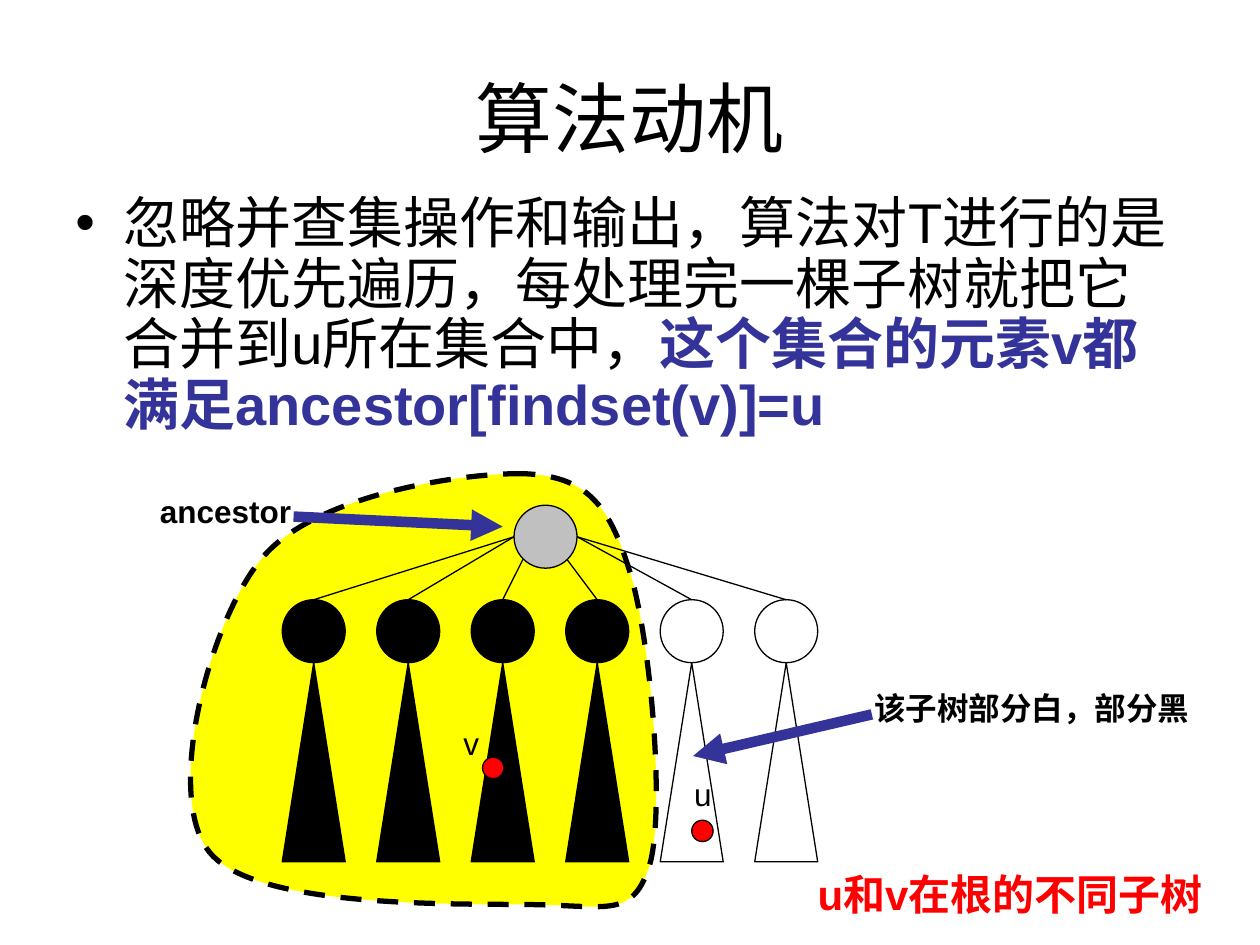
from pptx import Presentation
from pptx import util as u
from pptx.dml.color import RGBColor
from pptx.enum import dml, shapes, text
from pptx.oxml.ns import qn
from lxml import etree

IN = u.Inches
BLACK = RGBColor(0, 0, 0)
WHITE = RGBColor(255, 255, 255)
GRAY = RGBColor(0xC0, 0xC0, 0xC0)
YELLOW = RGBColor(255, 255, 0)
RED = RGBColor(255, 0, 0)
BLUE = RGBColor(0x33, 0x33, 0x99)

# Content
TITLE = "算法动机"
BODY = [
    ("忽略并查集操作和输出，算法对T进行的是深度优先遍历，"
     "每处理完一棵子树就把它合并到u所在集合中，", BLACK, False),
    ("这个集合的元素v都满足ancestor[findset(v)]=u", BLUE, True),
]
LABELS = [  # words, box, size, colour, bold; boxes leave room for one line
    ("u", (5.41, 6.1, 0.45, 0.4), 18, BLACK, False),
    ("v", (3.58, 5.7, 0.43, 0.4), 18, BLACK, False),
    ("ancestor", (1.17, 3.86, 1.35, 0.4), 18, BLACK, True),
    ("u和v在根的不同子树", (6.39, 6.84, 3.6, 0.5), 24, RED, True),
    ("该子树部分白，部分黑", (6.84, 5.42, 2.8, 0.4), 18, BLACK, True),
]
TREES = [BLACK] * 4 + [WHITE] * 2
DOTS = [(3.83, 6.01), (5.49, 6.51)]
ARROWS = [((2.33, 4.1), (3.99, 4.18)), ((6.92, 5.67), (5.5, 6))]

# Blob outline: start, then two handles and an end for each curve
BLOB = [
    (4.16, 3.76),
    (3.67, 3.75), (2.49, 3.93), (2.08, 4.43),
    (1.66, 4.93), (1.3, 6.31), (1.66, 6.76),
    (2.02, 7.22), (3.66, 7.17), (4.24, 7.18),
    (4.83, 7.19), (5.03, 7.29), (5.16, 6.85),
    (5.28, 6.4), (5.16, 5.03), (4.99, 4.51),
    (4.83, 4), (4.65, 3.78), (4.16, 3.76),
]

# Tree geometry
NODE, STEP, LEFT, TOP, TALL = 0.5, 0.75, 2.24, 4.76, 1.58
ROOT = (4.08, 4.01)
# Where each edge leaves the root: left side, lower corners, right side
ENDS = [(4.08, 4.26)] * 2 + [(4.15, 4.44), (4.5, 4.44)] + [(4.58, 4.26)] * 2

prs = Presentation()
prs.slide_width, prs.slide_height = IN(10), IN(7.5)
slide = prs.slides.add_slide(prs.slide_layouts[6])
tree = slide.shapes


def write(runs, box, size, align=text.PP_ALIGN.LEFT,
          anchor=text.MSO_ANCHOR.TOP, bullet=None, space=1.0):
    """Add a text box of one paragraph; runs are (words, colour, bold)."""
    frame = tree.add_textbox(*map(IN, box)).text_frame
    frame.word_wrap = True
    frame.vertical_anchor = anchor
    para = frame.paragraphs[0]
    para.alignment, para.line_spacing = align, space
    if bullet:
        prop = para._p.get_or_add_pPr()
        prop.set("marL", str(IN(0.38)))
        prop.set("indent", str(-IN(0.38)))
        etree.SubElement(prop, qn("a:buFont"), typeface="Arial")
        etree.SubElement(prop, qn("a:buChar"), char=bullet)
    for words, color, bold in runs:
        run = para.add_run()
        run.text = words
        font = run.font
        font.name, font.size, font.bold = "Arial", u.Pt(size), bold
        font.color.rgb = color


def paint(shape, fill, width=0.75):
    shape.shadow.inherit = False
    shape.fill.solid()
    shape.fill.fore_color.rgb = fill
    shape.line.color.rgb = BLACK
    shape.line.width = u.Pt(width)
    return shape


def draw(kind, x, y, w, h, fill):
    return paint(tree.add_shape(kind, IN(x), IN(y), IN(w), IN(h)), fill)


def link(start, end, color=BLACK, width=0.75):
    line = tree.add_connector(shapes.MSO_CONNECTOR.STRAIGHT,
                              *map(IN, start + end))
    line.line.color.rgb = color
    line.line.width = u.Pt(width)
    etree.SubElement(line._element.spPr, qn("a:effectLst"))
    return line


# Title and body
write([(TITLE, BLACK, False)], (0.5, 0.3, 9, 1.25), 44,
      align=text.PP_ALIGN.CENTER, anchor=text.MSO_ANCHOR.MIDDLE)
write(BODY, (0.5, 1.5, 9, 2.08), 32, bullet="•", space=0.9)

# Blob around the merged set: every three points become one curve
points = [(IN(x), IN(y)) for x, y in BLOB]
pen = tree.build_freeform(*points[0])
pen.add_line_segments(points[1:], close=True)
blob = paint(pen.convert_to_shape(), YELLOW, 3)
blob.line.dash_style = dml.MSO_LINE.DASH
parts = list(blob._element.iter(qn("a:lnTo")))
for i in range(0, len(parts), 3):
    curve = etree.Element(qn("a:cubicBezTo"))
    parts[i].addprevious(curve)
    for part in parts[i:i + 3]:
        curve.append(part[0])
        part.getparent().remove(part)

# Root, subtrees and edges
OVAL = shapes.MSO_SHAPE.OVAL
draw(OVAL, *ROOT, NODE, NODE, GRAY)
for i, (fill, end) in enumerate(zip(TREES, ENDS)):
    x = LEFT + i * STEP
    node = draw(OVAL, x, TOP, NODE, NODE, fill)
    draw(shapes.MSO_SHAPE.ISOSCELES_TRIANGLE, x, TOP + NODE, NODE, TALL, fill)
    link((x + NODE / 2, TOP), end).begin_connect(node, 0)

# Marked vertices
for x, y in DOTS:
    draw(OVAL, x, y, 0.17, 0.17, RED)

# Labels and arrows
for words, box, size, color, bold in LABELS:
    write([(words, color, bold)], box, size)
for start, end in ARROWS:
    arrow = link(start, end, BLUE, 6)
    etree.SubElement(arrow.line._get_or_add_ln(), qn("a:tailEnd"),
                     type="triangle")

prs.save("out.pptx")
